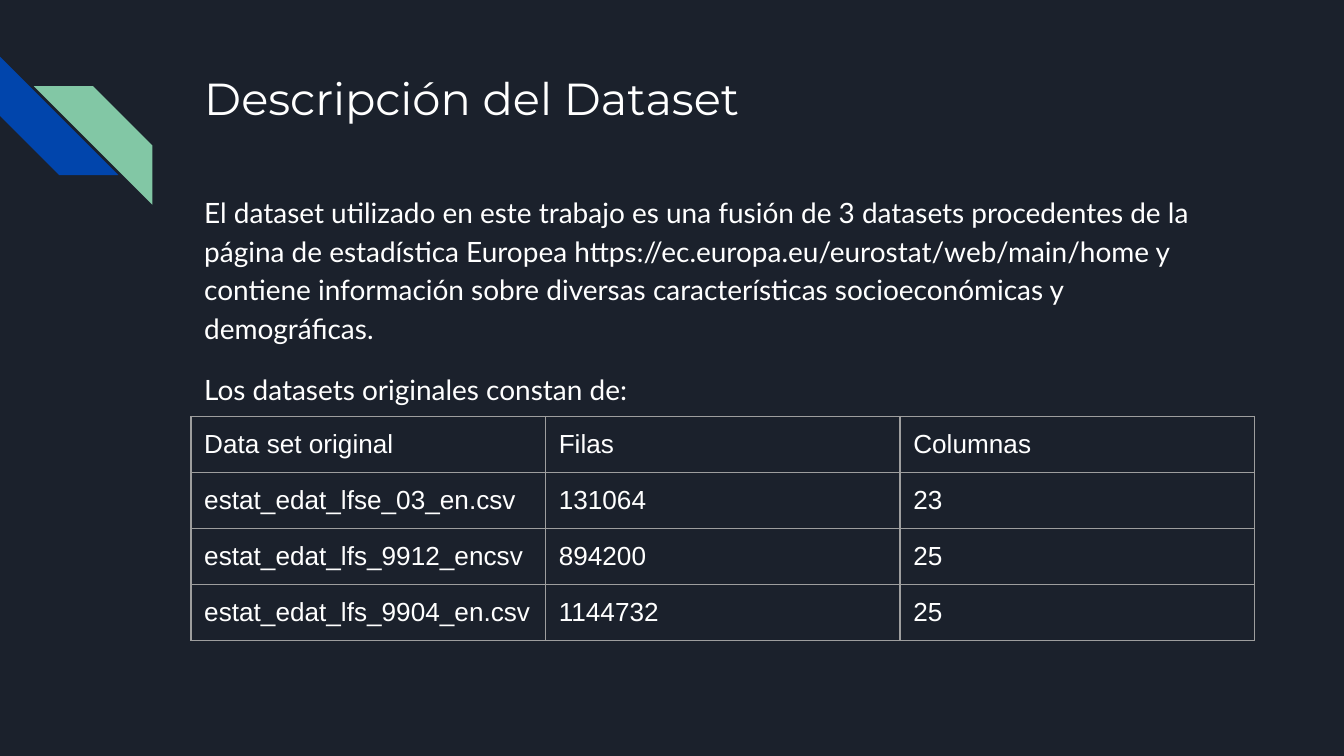
from lxml import etree
from pptx import Presentation
from pptx.dml.color import RGBColor
from pptx.enum.shapes import MSO_SHAPE
from pptx.enum.text import MSO_ANCHOR, MSO_AUTO_SIZE, PP_ALIGN
from pptx.oxml.ns import qn
from pptx.util import Cm, Pt

DIAGONAL_STRIPE = MSO_SHAPE.DIAGONAL_STRIPE
TOP = MSO_ANCHOR.TOP
NO_AUTOFIT = MSO_AUTO_SIZE.NONE
LEFT = PP_ALIGN.LEFT

THEME = {
    "background": RGBColor.from_string("1B212C"),
    "blue": RGBColor.from_string("0145AC"),
    "green": RGBColor.from_string("82C7A5"),
    "text": RGBColor.from_string("FFFFFF"),
    "border": "9E9E9E",
    "border_width": Pt(0.75),
    "title": {"name": "Montserrat", "size": Pt(24)},
    "body": {"name": "Lato", "size": Pt(15)},
    "table": {"name": "Arial", "size": Pt(14)},
}
INSET = Cm(0.25)
FRAME_FORMAT = {
    "margin_left": INSET, "margin_right": INSET,
    "margin_top": INSET, "margin_bottom": INSET,
    "vertical_anchor": TOP, "word_wrap": True, "auto_size": NO_AUTOFIT,
}


def format_paragraph(paragraph, style):
    paragraph.alignment = LEFT
    for name, value in THEME[style].items():
        setattr(paragraph.font, name, value)
    paragraph.font.bold = False
    paragraph.font.color.rgb = THEME["text"]


def add_borders(cell):
    properties = cell._tc.get_or_add_tcPr()
    for side in ("lnL", "lnR", "lnT", "lnB"):
        line = etree.SubElement(properties, qn(f"a:{side}"), w=str(THEME["border_width"]))
        fill = etree.SubElement(line, qn("a:solidFill"))
        etree.SubElement(fill, qn("a:srgbClr"), val=THEME["border"])


presentation = Presentation()
presentation.slide_width = Cm(25.4)
presentation.slide_height = Cm(14.29)
slide = presentation.slides.add_slide(presentation.slide_layouts[5])
slide.background.fill.solid()
slide.background.fill.fore_color.rgb = THEME["background"]

for color, left, top, rotation in (("blue", 0, 1.07, 270), ("green", 0.64, 1.63, 90)):
    stripe = slide.shapes.add_shape(DIAGONAL_STRIPE, Cm(left), Cm(top), Cm(2.24), Cm(2.24))
    stripe.rotation = rotation
    stripe.adjustments[0] = 0.5
    stripe.shadow.inherit = False
    stripe.fill.solid()
    stripe.fill.fore_color.rgb = THEME[color]
    stripe.line.fill.background()

CONTENT_LEFT = Cm(3.61)
CONTENT_WIDTH = Cm(19.56)
title = slide.shapes.title
title_position = {
    "left": CONTENT_LEFT, "top": Cm(1.09), "width": CONTENT_WIDTH, "height": Cm(2.54),
}
for name, value in title_position.items():
    setattr(title, name, value)
title.text_frame.text = "Descripción del Dataset"
format_paragraph(title.text_frame.paragraphs[0], "title")

body = slide.shapes.add_textbox(CONTENT_LEFT, Cm(3.35), CONTENT_WIDTH, Cm(9.09))
body.text_frame.text = (
    "El dataset utilizado en este trabajo es una fusión de 3 datasets procedentes de la "
    "página de estadística Europea https://ec.europa.eu/eurostat/web/main/home y contiene "
    "información sobre diversas características socioeconómicas y demográficas.\n"
    "Los datasets originales constan de:"
)
for paragraph, space_before in zip(body.text_frame.paragraphs, (0, 12)):
    paragraph.line_spacing = 1.15
    paragraph.space_before = Pt(space_before)
    format_paragraph(paragraph, "body")

for shape in (title, body):
    for name, value in FRAME_FORMAT.items():
        setattr(shape.text_frame, name, value)

DATASETS = (
    ("Data set original", "Filas", "Columnas"),
    ("estat_edat_lfse_03_en.csv", "131064", "23"),
    ("estat_edat_lfs_9912_encsv", "894200", "25"),
    ("estat_edat_lfs_9904_en.csv", "1144732", "25"),
)
COLUMN_WIDTH = Cm(6.7)
ROW_HEIGHT = Cm(1.06)
row_count, column_count = len(DATASETS), len(DATASETS[0])
table = slide.shapes.add_table(
    row_count, column_count, CONTENT_LEFT, Cm(7.87),
    COLUMN_WIDTH * column_count, ROW_HEIGHT * row_count,
).table
table.first_row = False
table.horz_banding = False
for row, values in zip(table.rows, DATASETS):
    row.height = ROW_HEIGHT
    for cell, value in zip(row.cells, values):
        cell.text = value
        for side in ("left", "right", "top", "bottom"):
            setattr(cell, f"margin_{side}", INSET)
        add_borders(cell)
        cell.fill.background()
        format_paragraph(cell.text_frame.paragraphs[0], "table")

presentation.save("out.pptx")
